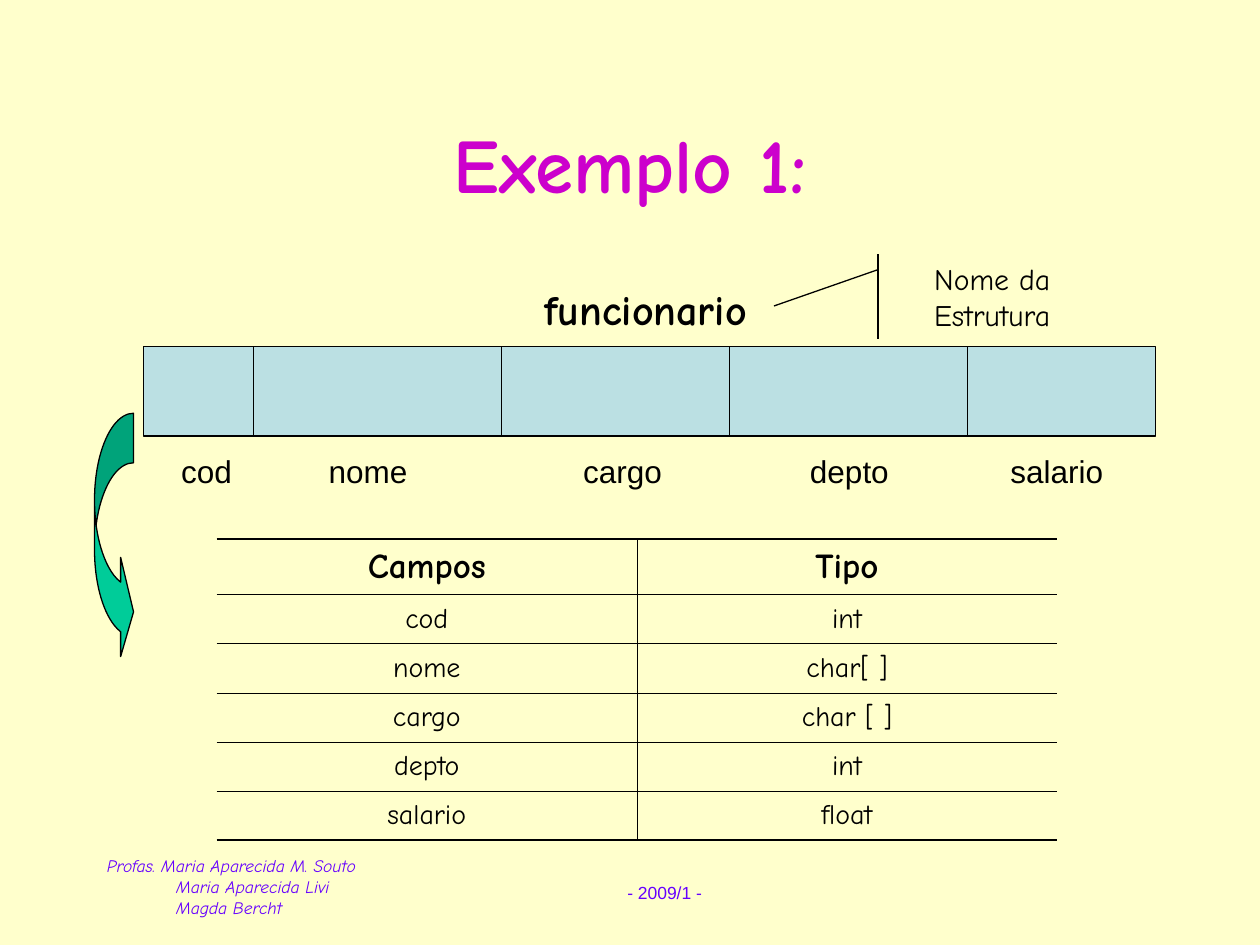
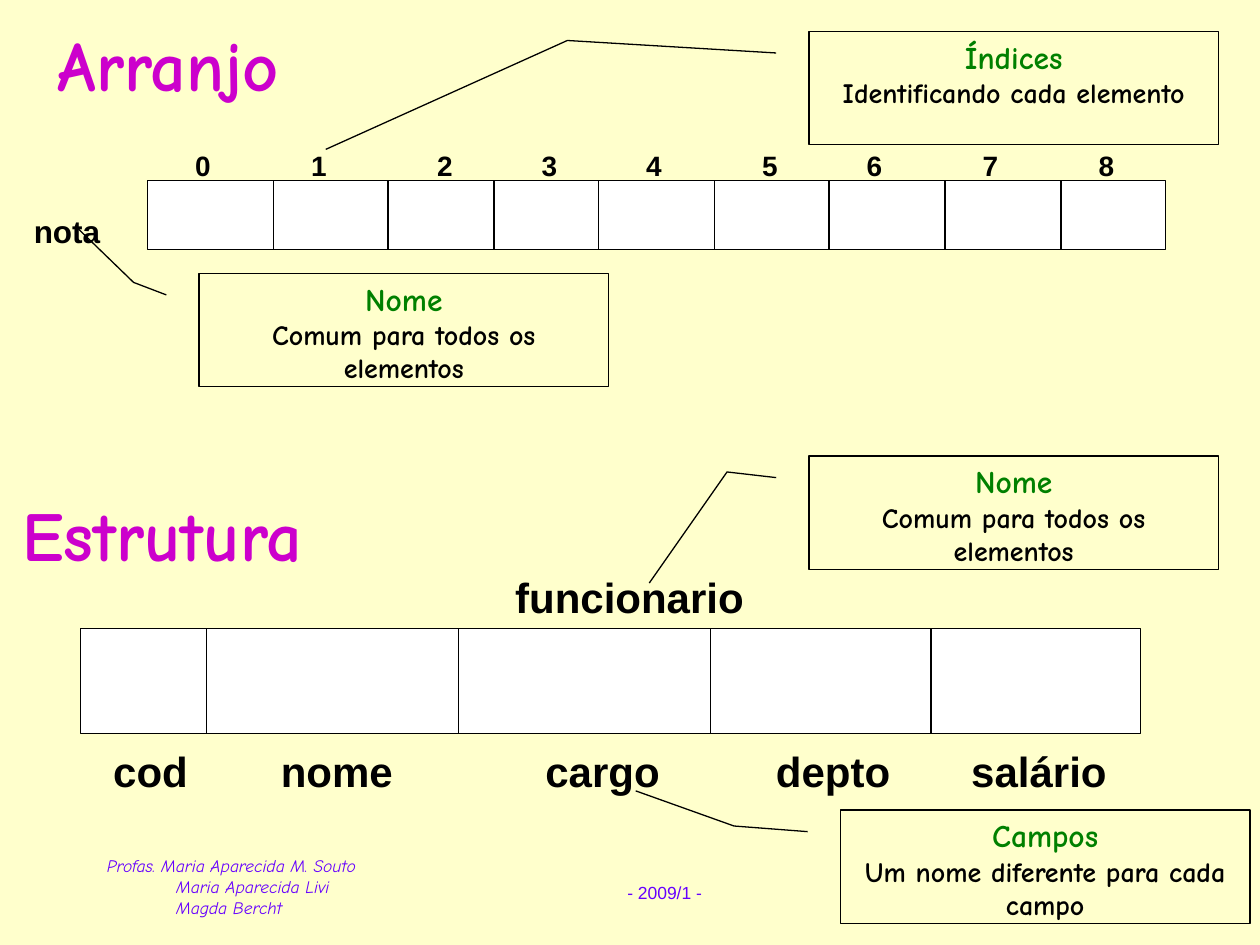
from dataclasses import dataclass

from lxml import etree
from pptx import Presentation
from pptx.dml.color import RGBColor
from pptx.enum.shapes import MSO_CONNECTOR, MSO_SHAPE
from pptx.enum.text import MSO_ANCHOR, PP_ALIGN
from pptx.oxml.ns import qn
from pptx.util import Inches, Pt

RECT = MSO_SHAPE.RECTANGLE
CALLOUT = MSO_SHAPE.LINE_CALLOUT_2
BAR_CALLOUT = MSO_SHAPE.LINE_CALLOUT_1_ACCENT_BAR
CURVED_ARROW = MSO_SHAPE.CURVED_RIGHT_ARROW
STRAIGHT = MSO_CONNECTOR.STRAIGHT
LEFT, CENTER = PP_ALIGN.LEFT, PP_ALIGN.CENTER
TOP, MIDDLE = MSO_ANCHOR.TOP, MSO_ANCHOR.MIDDLE

COMIC, ARIAL = "Comic Neue", "Arial"
CREAM, BLACK, WHITE = "FFFFCC", "000000", "FFFFFF"
MAGENTA, VIOLET, GREEN = "CC00CC", "6600FF", "008000"
PALE_BLUE, TEAL = "BBE0E3", "00CC99"
LINE_WIDTH = 0.75
TITLE_ONLY = 5

Box = tuple[float, float, float, float]


@dataclass(frozen=True)
class Style:
    size: float
    font: str = COMIC
    color: str = BLACK
    bold: bool = False
    italic: bool = False


@dataclass(frozen=True)
class Label:
    text: str
    box: Box
    style: Style
    wrap: bool = False
    tabs: tuple[float, ...] = ()


@dataclass(frozen=True)
class Strip:
    box: Box
    dividers: tuple[float, ...]
    fill: str


@dataclass(frozen=True)
class Callout:
    heading: str
    detail: str
    left: float
    top: float
    bends: tuple[float, float, float, float]


SECTION = Style(40, color=MAGENTA, bold=True)
FOOTER = Style(10, color=VIOLET, italic=True)
YEAR = Style(10, ARIAL, VIOLET)
INDEX = Style(16, ARIAL, bold=True)
STRONG = Style(24, ARIAL, bold=True)

RECORD = Strip((1.14, 2.75, 8.03, 0.71), (2.01, 3.98, 5.79, 7.68), PALE_BLUE)
RECORD_LABELS = (
    Label("funcionario", (4.22, 2.2, 1.81, 0.5), Style(24, bold=True)),
    Label("cod\tnome\tcargo\tdepto\tsalario", (1.34, 3.54, 7.83, 0.4),
          Style(18, ARIAL), True, (1.17, 3.19, 4.99, 6.58)),
)
FIELD_TYPES = (
    ("Campos", "Tipo"),
    ("cod", "int"),
    ("nome", "char[ ]"),
    ("cargo", "char [ ]"),
    ("depto", "int"),
    ("salario", "float"),
)

COMPARED_STRIPS = (
    Strip((1.17, 1.43, 8.08, 0.55),
          (2.17, 3.08, 3.92, 4.75, 5.67, 6.58, 7.5, 8.42), WHITE),
    Strip((0.64, 4.99, 8.41, 0.83), (1.64, 3.64, 5.64, 7.39), WHITE),
)
INDEX_LEFTS = (1.45, 2.37, 3.37, 4.2, 5.03, 5.95, 6.78, 7.7, 8.62)
COMPARED_LABELS = (
    Label("nota", (0.17, 1.63, 0.73, 0.4), Style(18, ARIAL, bold=True)),
    Label("funcionario", (3.99, 4.49, 2.11, 0.5), STRONG),
    Label("cod\tnome\tcargo\tdepto\tsalário", (0.8, 5.87, 8.09, 0.5),
          STRONG, True, (1.33, 3.43, 5.26, 6.81)),
)
CALLOUTS = (
    Callout("Índices", "Identificando cada elemento", 6.42, 0.25,
            (0.08, -0.59, 1.04, -1.18)),
    Callout("Nome", "Comum para todos os elementos", 1.58, 2.17,
            (0.08, -0.16, -0.41, -0.3)),
    Callout("Nome", "Comum para todos os elementos", 6.42, 3.62,
            (0.14, -0.2, 1.12, -0.39)),
    Callout("Campos", "Um nome diferente para cada campo", 6.67, 6.43,
            (0.14, -0.26, -0.17, -0.5)),
)


def rgb(color: str) -> RGBColor:
    """Turn a hex string into a colour."""
    return RGBColor.from_string(color)


def inches(values: tuple[float, ...]) -> list[Inches]:
    """Convert numbers to lengths."""
    return [Inches(v) for v in values]


def format_paragraph(p, style: Style, align=LEFT) -> None:
    """Apply alignment and a text style to a paragraph."""
    p.alignment = align
    for r in p.runs:
        r.font.name, r.font.size = style.font, Pt(style.size)
        r.font.bold, r.font.italic = style.bold, style.italic
        r.font.color.rgb = rgb(style.color)


def add_label(s, label: Label):
    """Add a text box, with tab stops if the label has any."""
    sp = s.shapes.add_textbox(*inches(label.box))
    tf = sp.text_frame
    tf.word_wrap = label.wrap
    tf.text = label.text
    for p in tf.paragraphs:
        format_paragraph(p, label.style)
        if label.tabs:
            tab_list = etree.SubElement(p._p.get_or_add_pPr(), qn("a:tabLst"))
            for stop in label.tabs:
                etree.SubElement(tab_list, qn("a:tab"), pos=str(Inches(stop)), algn="l")
    return sp


def add_shape(s, kind, box: Box, fill: str = "", adjustments: tuple[float, ...] = ()):
    """Add an outlined preset shape, filled when a colour is given."""
    sp = s.shapes.add_shape(kind, *inches(box))
    sp.shadow.inherit = False
    sp.line.color.rgb = rgb(BLACK)
    sp.line.width = Pt(LINE_WIDTH)
    if fill:
        sp.fill.solid()
        sp.fill.fore_color.rgb = rgb(fill)
    else:
        sp.fill.background()
    for i, value in enumerate(adjustments):
        sp.adjustments[i] = value
    return sp


def add_strip(s, strip: Strip) -> None:
    """Draw a box divided into cells by vertical lines."""
    add_shape(s, RECT, strip.box, strip.fill)
    top, bottom = strip.box[1], strip.box[1] + strip.box[3]
    for x in strip.dividers:
        line = s.shapes.add_connector(STRAIGHT, *inches((x, top, x, bottom)))
        line.line.color.rgb = rgb(BLACK)
        line.line.width = Pt(LINE_WIDTH)
        etree.SubElement(line.element.spPr, qn("a:effectLst"))


def fill_callout(sp, text: str, styles: tuple[Style, Style]) -> None:
    """Write the two centred paragraphs of a callout."""
    tf = sp.text_frame
    tf.word_wrap = True
    tf.vertical_anchor = TOP
    tf.text = text
    for p, style in zip(tf.paragraphs, styles):
        format_paragraph(p, style, CENTER)


def add_callout(s, callout: Callout) -> None:
    """Add a bordered callout with a green heading."""
    sp = add_shape(s, CALLOUT, (callout.left, callout.top, 3.25, 0.9),
                   adjustments=(0.19, -0.08, *callout.bends))
    fill_callout(sp, f"{callout.heading}\n{callout.detail}",
                 (Style(18, color=GREEN, bold=True), Style(16, bold=True)))


def set_title(s, text: str, box: Box, style: Style, align, anchor) -> None:
    """Move, fill and format the title placeholder."""
    title = s.shapes.title
    title.left, title.top, title.width, title.height = inches(box)
    tf = title.text_frame
    tf.text = text
    tf.vertical_anchor = anchor
    format_paragraph(tf.paragraphs[0], style, align)


def set_border(cell, side: str, width: float) -> None:
    """Set one cell border, or hide it when the width is zero."""
    ln = etree.SubElement(cell._tc.get_or_add_tcPr(), qn(f"a:{side}"), w=str(Pt(width)))
    if width:
        fill = etree.SubElement(ln, qn("a:solidFill"))
        etree.SubElement(fill, qn("a:srgbClr"), val=BLACK)
    else:
        etree.SubElement(ln, qn("a:noFill"))


def add_field_table(s) -> None:
    """Add the table of fields and their types."""
    last = len(FIELD_TYPES) - 1
    table = s.shapes.add_table(last + 1, 2, *inches((1.72, 4.28, 6.67, 2.4))).table
    table.first_row = table.horz_banding = False
    for i, texts in enumerate(FIELD_TYPES):
        table.rows[i].height = Inches(0.39 if i else 0.44)
        for j, text in enumerate(texts):
            cell = table.cell(i, j)
            cell.text = text
            cell.vertical_anchor = MIDDLE
            style = Style(16) if i else Style(20, bold=True)
            format_paragraph(cell.text_frame.paragraphs[0], style, CENTER)
            set_border(cell, "lnL", 0.45 if j else 0)
            set_border(cell, "lnR", 0 if j else 0.45)
            set_border(cell, "lnT", 0.45 if i else 1.08)
            set_border(cell, "lnB", 1.08 if i == last else 0.45)
            cell.fill.background()


def move_to_master(prs, sp, shape_id: int) -> None:
    """Move a shape to the slide master so that every slide shows it."""
    sp.element.nvSpPr.cNvPr.set("id", str(shape_id))
    prs.slide_master.shapes.element.append(sp.element)


def build_master(prs, s) -> None:
    """Set the shared background and footers."""
    fill = prs.slide_master.background.fill
    fill.solid()
    fill.fore_color.rgb = rgb(CREAM)
    authors = add_label(s, Label(
        "Profas. Maria Aparecida M. Souto\nMaria Aparecida Livi\nMagda Bercht",
        (0.75, 6.74, 2.62, 0.6), FOOTER, True))
    for p in authors.text_frame.paragraphs[1:]:
        p._p.get_or_add_pPr().set("marL", str(Inches(0.55)))
    year = add_label(s, Label("- 2009/1 -", (4.88, 6.95, 0.79, 0.27), YEAR))
    for shape_id, sp in enumerate((authors, year), 101):
        move_to_master(prs, sp, shape_id)


def build_example(s) -> None:
    """Build the record example with its field types."""
    set_title(s, "Exemplo 1:", (0.75, 0.67, 8.5, 1.25),
              Style(44, color=MAGENTA, bold=True), CENTER, MIDDLE)
    add_strip(s, RECORD)
    for label in RECORD_LABELS:
        add_label(s, label)
    add_field_table(s)
    name = add_shape(s, BAR_CALLOUT, (7.05, 2.02, 1.65, 0.67),
                     adjustments=(0.18, -0.05, 0.61, -0.55))
    fill_callout(name, "Nome da\nEstrutura", (Style(17), Style(17)))
    add_shape(s, CURVED_ARROW, (0.75, 3.28, 0.31, 1.97), TEAL, (1.27, 2.54, 0.33))


def build_comparison(s) -> None:
    """Build the comparison of array and structure."""
    set_title(s, "Arranjo", (0.36, 0.25, 4.89, 0.64), SECTION, LEFT, TOP)
    heading = add_label(s, Label("Estrutura", (0.08, 3.98, 4.89, 0.64), SECTION, True))
    for sp in (s.shapes.title, heading):
        sp.text_frame.paragraphs[0].line_spacing = 0.8
    for strip in COMPARED_STRIPS:
        add_strip(s, strip)
    for i, left in enumerate(INDEX_LEFTS):
        add_label(s, Label(str(i), (left, 1.13, 0.32, 0.37), INDEX))
    for label in COMPARED_LABELS:
        add_label(s, label)
    for callout in CALLOUTS:
        add_callout(s, callout)


def main() -> None:
    """Build and save the presentation."""
    prs = Presentation()
    prs.slide_width, prs.slide_height = Inches(10), Inches(7.5)
    example, comparison = (
        prs.slides.add_slide(prs.slide_layouts[TITLE_ONLY]) for _ in range(2))
    build_master(prs, example)
    build_example(example)
    build_comparison(comparison)
    prs.save("out.pptx")


if __name__ == "__main__":
    main()
